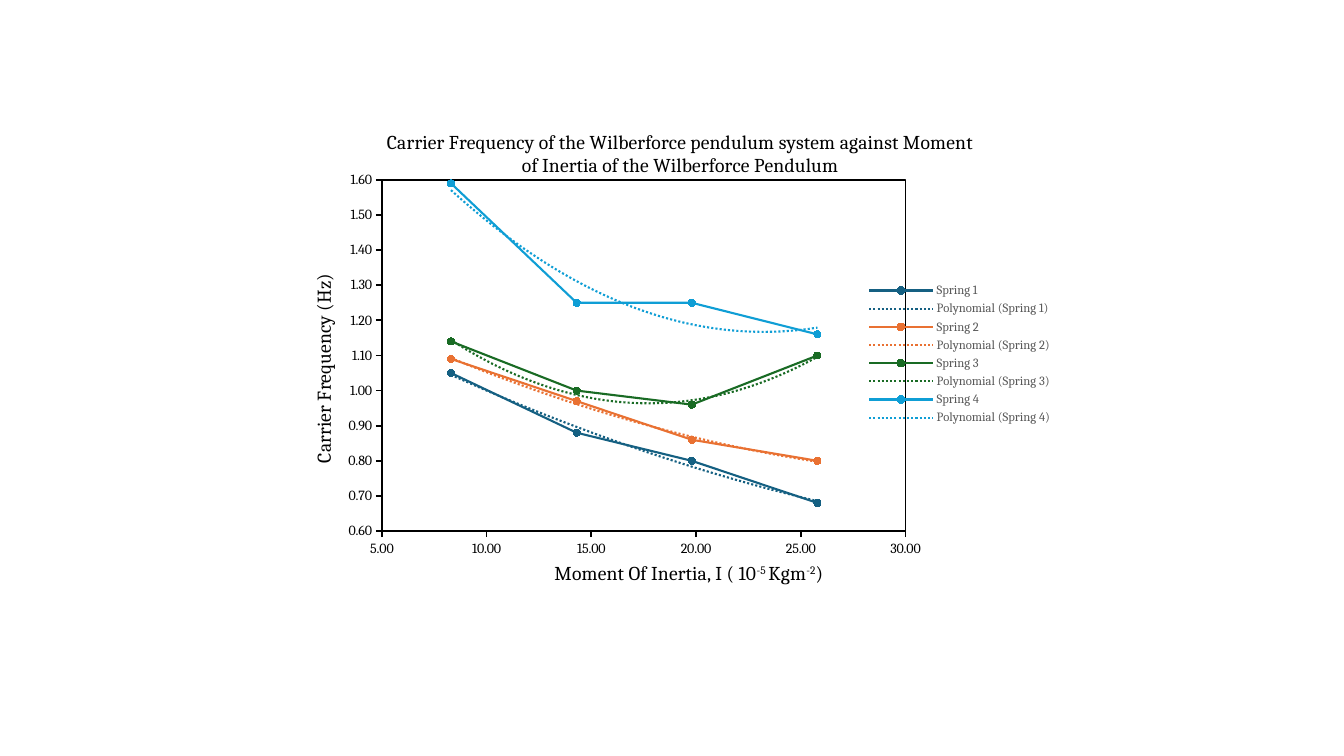
import dataclasses

import lxml.etree
import pptx
import pptx.chart.data
import pptx.dml.color
import pptx.enum.chart
import pptx.oxml
import pptx.oxml.ns
import pptx.util

qn = pptx.oxml.ns.qn
Inches = pptx.util.Inches
Pt = pptx.util.Pt


@dataclasses.dataclass(frozen=True)
class Theme:
    font: str = "Cambria"
    ink: str = "000000"
    legend_ink: str = "595959"
    springs: tuple = ("156082", "E97132", "196B24", "0F9ED5")
    title_size: int = 14
    label_size: int = 10
    legend_size: int = 9
    frame_width: float = 1.25
    curve_width: float = 1.5


THEME = Theme()
INERTIA = (8.3, 14.3, 19.8, 25.8)
FREQUENCIES = {
    "Spring 1": (1.05, 0.88, 0.8, 0.68),
    "Spring 2": (1.09, 0.97, 0.86, 0.8),
    "Spring 3": (1.14, 1, 0.96, 1.1),
    "Spring 4": (1.59, 1.25, 1.25, 1.16),
}


def rgb(color):
    return pptx.dml.color.RGBColor.from_string(color)


def format_font(font, size, color=THEME.ink):
    font.name = THEME.font
    font.size = Pt(size)
    font.bold = False
    font.color.rgb = rgb(color)


def format_line(line, color, width):
    line.color.rgb = rgb(color)
    line.width = Pt(width)


def write_text(text_frame, parts, size=THEME.title_size, color=THEME.ink, rotation=0):
    paragraph = text_frame.paragraphs[0]
    format_font(paragraph.font, size, color)
    for text, raised in parts:
        run = paragraph.add_run()
        run.text = text
        format_font(run.font, size, color)
        if raised:
            run._r.get_or_add_rPr().set("baseline", "30000")
    text_frame._txBody.find(qn("a:bodyPr")).set("rot", str(rotation * 60000))


def add_child(parent, tag, value=None):
    child = lxml.etree.SubElement(parent, qn(tag))
    if value is not None:
        child.set("val", str(value))
    return child


def set_layout(element, index, inner=False, **fractions):
    for layout in element.findall(qn("c:layout")):
        element.remove(layout)
    layout = pptx.oxml.parse_xml(f"<c:layout {pptx.oxml.ns.nsdecls('c')}/>")
    manual = add_child(layout, "c:manualLayout")
    if inner:
        add_child(manual, "c:layoutTarget", "inner")
    for key in ("x", "y"):
        add_child(manual, f"c:{key}Mode", "edge")
    for key, fraction in fractions.items():
        add_child(manual, f"c:{key}", fraction)
    element.insert(index, layout)


def add_outline(parent, color, width, dash="solid"):
    outline = add_child(add_child(parent, "c:spPr"), "a:ln")
    outline.set("w", str(Pt(width)))
    add_child(add_child(outline, "a:solidFill"), "a:srgbClr", color)
    add_child(outline, "a:prstDash", dash)


def add_trend(series, color):
    trend = pptx.oxml.parse_xml(f"<c:trendline {pptx.oxml.ns.nsdecls('c', 'a')}/>")
    add_outline(trend, color, THEME.curve_width, "sysDot")
    add_child(trend, "c:trendlineType", "poly")
    add_child(trend, "c:order", 2)
    add_child(trend, "c:dispRSqr", 0)
    add_child(trend, "c:dispEq", 0)
    series._element.find(qn("c:xVal")).addprevious(trend)


def style_series(series, color):
    series.smooth = True
    format_line(series.format.line, color, THEME.curve_width)
    marker = series.marker
    marker.style = pptx.enum.chart.XL_MARKER_STYLE.CIRCLE
    marker.size = 5
    marker.format.fill.solid()
    marker.format.fill.fore_color.rgb = rgb(color)
    format_line(marker.format.line, color, 0.75)
    add_trend(series, color)


def style_axis(axis, limits, step, number_format, title, position, rotation=0):
    axis.minimum_scale, axis.maximum_scale = limits
    axis.major_unit = step
    axis.has_major_gridlines = False
    axis.major_tick_mark = pptx.enum.chart.XL_TICK_MARK.OUTSIDE
    axis.minor_tick_mark = pptx.enum.chart.XL_TICK_MARK.NONE
    axis.tick_labels.number_format = number_format
    axis.tick_labels.number_format_is_linked = False
    format_font(axis.tick_labels.font, THEME.label_size)
    format_line(axis.format.line, THEME.ink, THEME.frame_width)
    axis.has_title = True
    write_text(axis.axis_title.text_frame, title, rotation=rotation)
    set_layout(axis.axis_title._element, 1, **position)


def style_legend(chart):
    chart.has_legend = True
    legend = chart.legend
    legend.position = pptx.enum.chart.XL_LEGEND_POSITION.RIGHT
    legend.include_in_layout = False
    format_font(legend.font, THEME.legend_size, THEME.legend_ink)
    set_layout(legend._element, 1, x=0.74, y=0.35, w=0.25, h=0.3)


def add_frequency_chart(slide, left, top, width, height):
    data = pptx.chart.data.XyChartData()
    for name, frequencies in FREQUENCIES.items():
        spring = data.add_series(name)
        for inertia, frequency in zip(INERTIA, frequencies):
            spring.add_data_point(inertia, frequency)
    chart = slide.shapes.add_chart(
        pptx.enum.chart.XL_CHART_TYPE.XY_SCATTER_SMOOTH,
        left, top, width, height, data).chart
    format_font(chart.font, THEME.label_size)
    chart.plots[0].vary_by_categories = False
    for series, color in zip(chart.plots[0].series, THEME.springs):
        style_series(series, color)

    chart.has_title = True
    write_text(chart.chart_title.text_frame, [(
        "Carrier Frequency of the Wilberforce pendulum system against Moment "
        "of Inertia of the Wilberforce Pendulum", False)])
    set_layout(chart.chart_title._element, 1, x=0.11, y=0.04)
    style_axis(
        chart.category_axis, (5, 30), 5, "#,##0.00",
        [("Moment Of Inertia, I ( 10", False), ("-5 ", True),
         ("Kgm", False), ("-2", True), (")", False)],
        {"x": 0.33, "y": 0.91})
    style_axis(
        chart.value_axis, (0.6, 1.6), 0.1, "0.00",
        [("Carrier Frequency (Hz)", False)], {"x": 0.01, "y": 0.33}, rotation=-90)
    style_legend(chart)

    plot_area = chart._chartSpace.chart.plotArea
    set_layout(plot_area, 0, inner=True, x=0.108, y=0.149, w=0.686, h=0.707)
    for properties in plot_area.findall(qn("c:spPr")):
        plot_area.remove(properties)
    add_outline(plot_area, THEME.ink, THEME.frame_width)


def main():
    presentation = pptx.Presentation()
    presentation.slide_width = Inches(13.33)
    presentation.slide_height = Inches(7.5)
    slide = presentation.slides.add_slide(presentation.slide_layouts[6])
    add_frequency_chart(slide, Inches(2.97), Inches(1.05), Inches(7.57), Inches(4.93))
    presentation.save("out.pptx")


if __name__ == "__main__":
    main()
